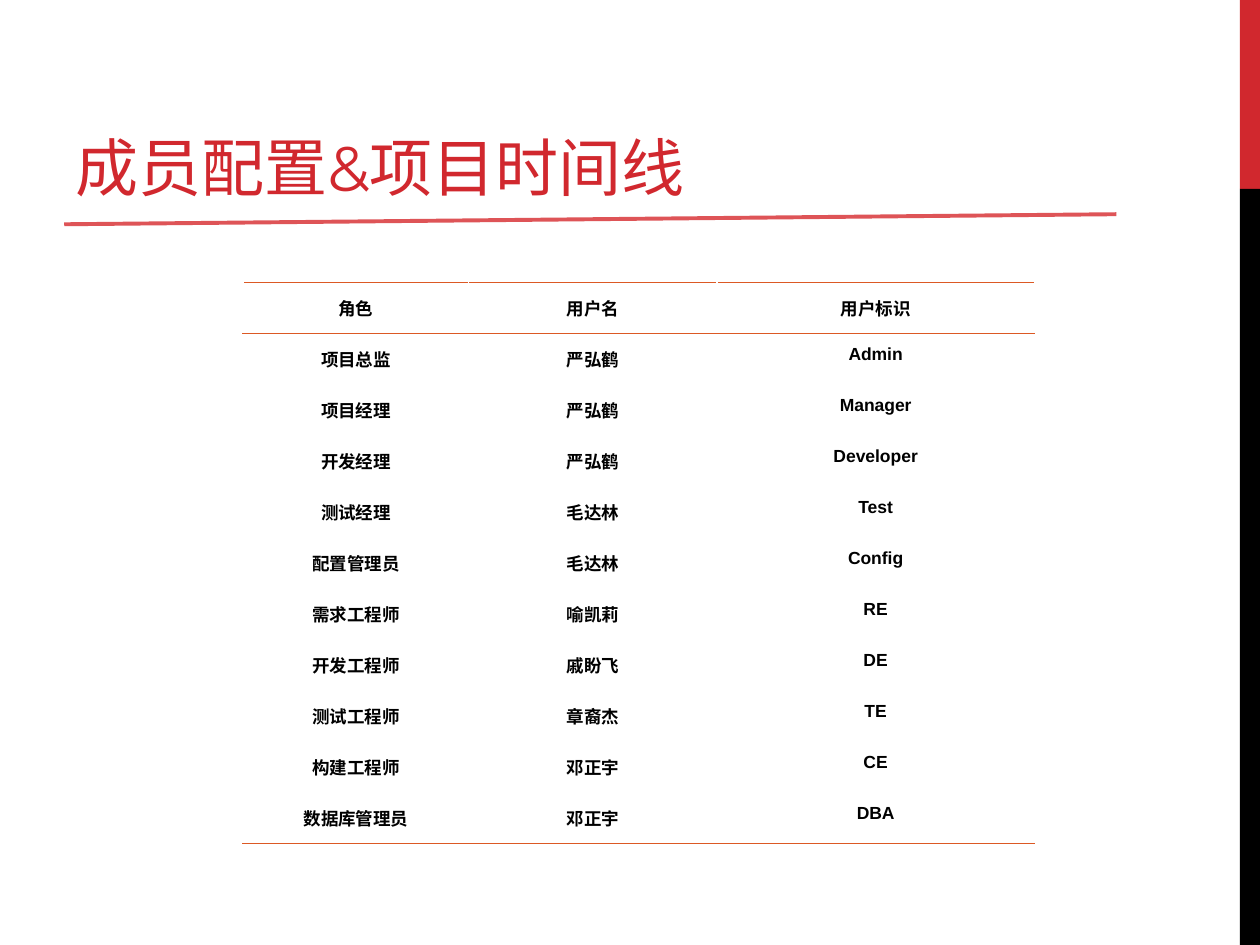
from dataclasses import dataclass

from lxml.etree import SubElement
from pptx import Presentation
from pptx.dml.color import RGBColor
from pptx.enum.shapes import MSO_CONNECTOR, MSO_SHAPE
from pptx.enum.text import MSO_ANCHOR, MSO_AUTO_SIZE, PP_ALIGN
from pptx.oxml.ns import qn
from pptx.util import Inches, Pt


@dataclass(frozen=True)
class Theme:
    red: str = "D1282E"
    black: str = "000000"
    rule: str = "DE5457"
    border: str = "DC5924"
    head: str = "Montserrat"
    body: str = "Arial"
    head_size: float = 36
    body_size: float = 10
    rule_width: float = 2.25
    border_width: float = 0.45


THEME = Theme()
TITLE = "成员配置&项目时间线"
COLUMNS = (1.79, 1.97, 2.52)
TABLE_HEIGHT = 4.46
MEMBERS = [
    ("角色", "用户名", "用户标识"),
    ("项目总监", "严弘鹤", "Admin"),
    ("项目经理", "严弘鹤", "Manager"),
    ("开发经理", "严弘鹤", "Developer"),
    ("测试经理", "毛达林", "Test"),
    ("配置管理员", "毛达林", "Config"),
    ("需求工程师", "喻凯莉", "RE"),
    ("开发工程师", "戚盼飞", "DE"),
    ("测试工程师", "章裔杰", "TE"),
    ("构建工程师", "邓正宇", "CE"),
    ("数据库管理员", "邓正宇", "DBA"),
]


def apply(target, values):
    for name, value in values.items():
        setattr(target, name, value)


def style(font, color, **values):
    apply(font, values)
    font.color.rgb = RGBColor.from_string(color)


def add_bar(slide, top, height, color):
    bar = slide.shapes.add_shape(
        MSO_SHAPE.RECTANGLE, Inches(9.84), Inches(top), Inches(0.16), Inches(height))
    bar.shadow.inherit = False
    bar.fill.solid()
    bar.fill.fore_color.rgb = RGBColor.from_string(color)
    bar.line.fill.background()


def add_rule(slide):
    rule = slide.shapes.add_connector(
        MSO_CONNECTOR.STRAIGHT, Inches(0.51), Inches(1.78), Inches(8.86), Inches(1.7))
    rule.line.width = Pt(THEME.rule_width)
    rule.line.color.rgb = RGBColor.from_string(THEME.rule)
    SubElement(rule.element.spPr, qn("a:effectLst"))


def set_title(slide):
    title = slide.shapes.title
    apply(title, {"left": Inches(0.5), "top": Inches(0.17),
                  "width": Inches(6.33), "height": Inches(1.5)})
    frame = title.text_frame
    apply(frame, {"text": TITLE, "word_wrap": True,
                  "auto_size": MSO_AUTO_SIZE.NONE,
                  "vertical_anchor": MSO_ANCHOR.BOTTOM})
    para = frame.paragraphs[0]
    para.alignment = PP_ALIGN.LEFT
    style(para.runs[0].font, THEME.red, name=THEME.head, size=Pt(THEME.head_size))


def add_border(cell, edge):
    """Draw one cell edge: lnT or lnB. Call before the cell's fill is set."""
    line = SubElement(cell._tc.get_or_add_tcPr(), qn(f"a:{edge}"),
                      w=str(int(Pt(THEME.border_width))))
    fill = SubElement(line, qn("a:solidFill"))
    SubElement(fill, qn("a:srgbClr"), val=THEME.border)


def fill_cell(cell, text, edges):
    for edge in edges:
        add_border(cell, edge)
    cell.fill.background()
    apply(cell, {"text": text,
                 "margin_left": Inches(0.08), "margin_right": Inches(0.08),
                 "margin_top": Inches(0.05), "margin_bottom": Inches(0.05)})
    para = cell.text_frame.paragraphs[0]
    apply(para, {"alignment": PP_ALIGN.CENTER, "line_spacing": 1.25})
    style(para.runs[0].font, THEME.black, name=THEME.body,
          size=Pt(THEME.body_size), bold=True)


def add_members(slide):
    count = len(MEMBERS)
    table = slide.shapes.add_table(
        count, len(COLUMNS), Inches(1.93), Inches(2.24),
        Inches(sum(COLUMNS)), Inches(TABLE_HEIGHT)).table
    apply(table, {"first_row": False, "horz_banding": False})
    for column, width in zip(table.columns, COLUMNS):
        column.width = Inches(width)
    edges = {0: ("lnT", "lnB"), 1: ("lnT",), count - 1: ("lnB",)}
    for index, (row, texts) in enumerate(zip(table.rows, MEMBERS)):
        row.height = Inches(TABLE_HEIGHT / count)
        for cell, text in zip(row.cells, texts):
            fill_cell(cell, text, edges.get(index, ()))


def main():
    deck = Presentation()
    apply(deck, {"slide_width": Inches(10), "slide_height": Inches(7.5)})
    slide = deck.slides.add_slide(deck.slide_layouts[5])
    add_bar(slide, 0, 1.5, THEME.red)
    add_bar(slide, 1.5, 6, THEME.black)
    add_rule(slide)
    set_title(slide)
    add_members(slide)
    deck.save("out.pptx")


if __name__ == "__main__":
    main()
